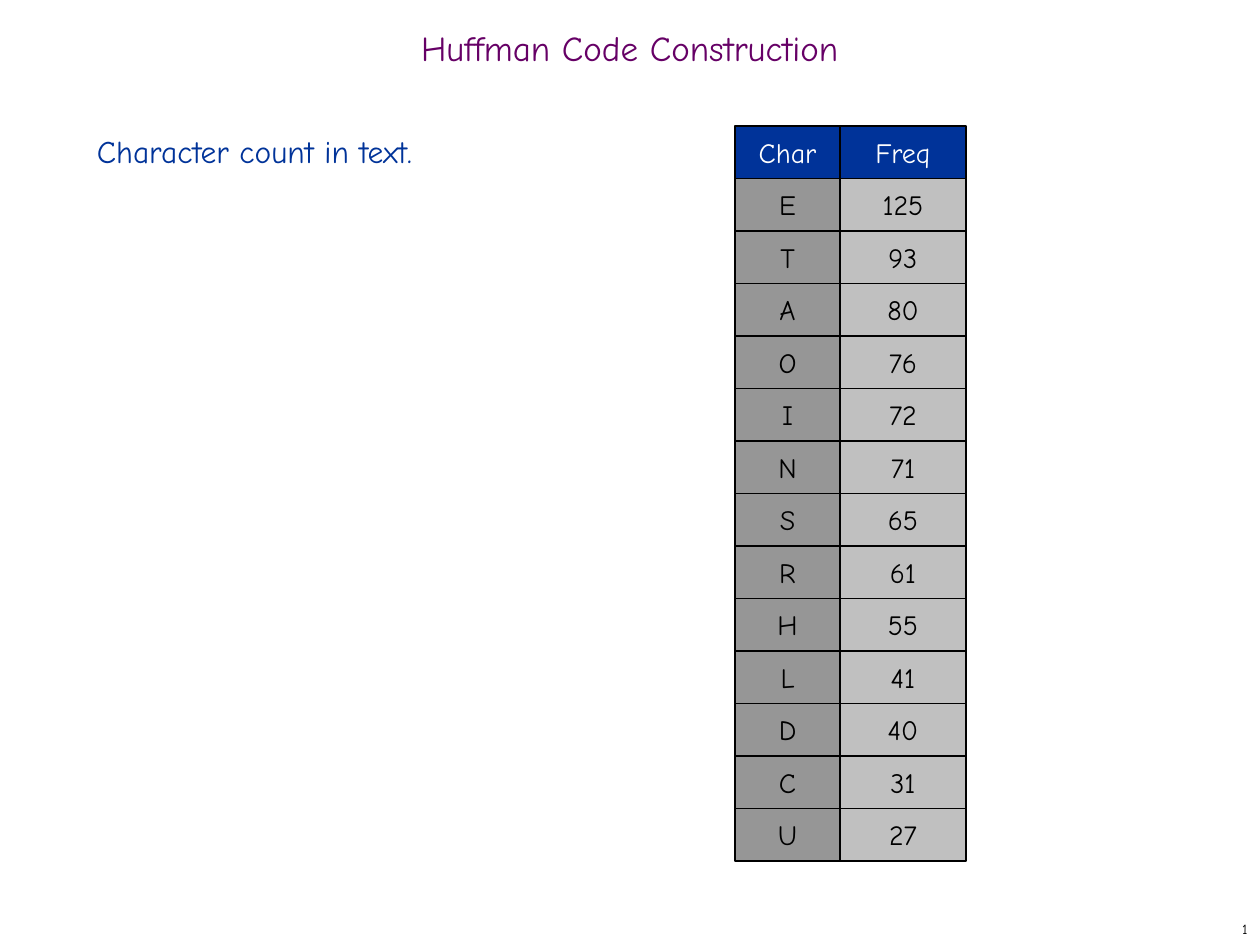
import dataclasses

import pptx
import pptx.dml.color
import pptx.enum.shapes
import pptx.enum.text
import pptx.util

Inches = pptx.util.Inches
Align = pptx.enum.text.PP_ALIGN
Anchor = pptx.enum.text.MSO_ANCHOR


@dataclasses.dataclass(frozen=True)
class Theme:
    """Hold the font, colours, type sizes and border width of the slide."""

    font: str = "Comic Neue"
    purple: str = "660066"
    blue: str = "003399"
    dark_grey: str = "969696"
    light_grey: str = "C0C0C0"
    black: str = "000000"
    white: str = "FFFFFF"
    title_size: int = 20
    body_size: int = 18
    cell_size: int = 16
    number_size: int = 8
    border: float = 0.75


THEME = Theme()
FREQUENCIES = {
    "E": 125, "T": 93, "A": 80, "O": 76, "I": 72, "N": 71, "S": 65,
    "R": 61, "H": 55, "L": 41, "D": 40, "C": 31, "U": 27,
}


def rgb(code):
    """Return the colour for a hex code."""
    return pptx.dml.color.RGBColor.from_string(code)


def write(frame, words, size, color, align, anchor):
    """Add one styled run to the first paragraph of a text frame."""
    frame.vertical_anchor = anchor
    paragraph = frame.paragraphs[0]
    paragraph.alignment = align
    run = paragraph.add_run()
    run.text = words
    run.font.name = THEME.font
    run.font.size = pptx.util.Pt(size)
    run.font.color.rgb = rgb(color)


def add_text(slide, box, words, size, color, align, anchor, spacing=None):
    """Place a wrapped line of text in the given box."""
    frame = slide.shapes.add_textbox(*map(Inches, box)).text_frame
    frame.word_wrap = True
    frame.paragraphs[0].line_spacing = spacing
    write(frame, words, size, color, align, anchor)


def add_title(slide, box):
    """Place the slide title."""
    add_text(slide, box, "Huffman Code Construction", THEME.title_size,
             THEME.purple, Align.CENTER, Anchor.MIDDLE, 0.7)


def add_body(slide, box):
    """Place the statement beside the frequency grid."""
    add_text(slide, box, "Character count in text.", THEME.body_size,
             THEME.blue, Align.LEFT, Anchor.TOP)


def add_slide_number(slide, box):
    """Place the slide number."""
    add_text(slide, box, "1", THEME.number_size, THEME.black,
             Align.RIGHT, Anchor.MIDDLE)


def add_cell(slide, box, words, fill, color):
    """Place one bordered cell of the frequency grid."""
    cell = slide.shapes.add_shape(
        pptx.enum.shapes.MSO_SHAPE.RECTANGLE, *map(Inches, box))
    cell.shadow.inherit = False
    cell.fill.solid()
    cell.fill.fore_color.rgb = rgb(fill)
    cell.line.color.rgb = rgb(THEME.black)
    cell.line.width = pptx.util.Pt(THEME.border)
    cell.text_frame.word_wrap = False
    write(cell.text_frame, words, THEME.cell_size, color,
          Align.CENTER, Anchor.MIDDLE)


def add_frequency_grid(slide, box, char_share):
    """Place the characters and their counts in two columns of cells."""
    left, top, width, height = box
    rows = [("Char", "Freq"), *FREQUENCIES.items()]
    row_height = height / len(rows)
    char_width = width * char_share
    columns = (
        (left, char_width, THEME.dark_grey),
        (left + char_width, width - char_width, THEME.light_grey),
    )
    for index, row in enumerate(rows):
        for value, (cell_left, cell_width, grey) in zip(row, columns):
            fill, color = (
                (grey, THEME.black) if index else (THEME.blue, THEME.white))
            cell_box = (
                cell_left, top + index * row_height, cell_width, row_height)
            add_cell(slide, cell_box, str(value), fill, color)


def main():
    """Build and save the slide."""
    deck = pptx.Presentation()
    deck.slide_width, deck.slide_height = Inches(10), Inches(7.5)
    slide = deck.slides.add_slide(deck.slide_layouts[6])
    add_title(slide, (0, 0.17, 10, 0.5))
    add_body(slide, (0.67, 1, 8.58, 5.92))
    add_frequency_grid(slide, (35 / 6, 1, 11 / 6, 35 / 6), char_share=5 / 11)
    add_slide_number(slide, (7.92, 7.25, 2.08, 0.25))
    deck.save("out.pptx")


if __name__ == "__main__":
    main()
